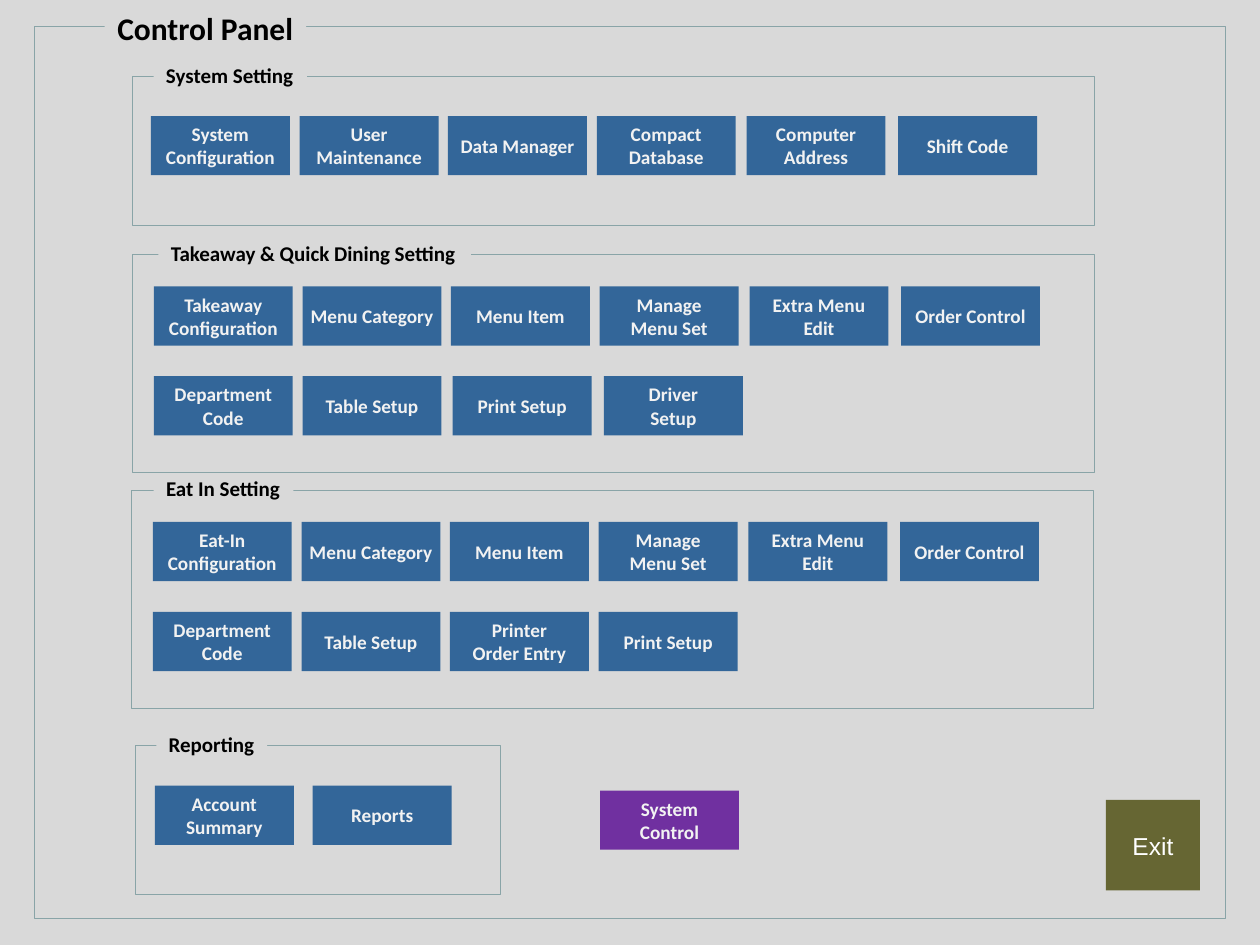
"""Build a restaurant control panel slide with grouped setting buttons."""
import pptx
import pptx.dml.color
import pptx.enum.shapes
import pptx.enum.text
import pptx.util

Pt = pptx.util.Pt
ALIGN = pptx.enum.text.PP_ALIGN
ANCHOR = pptx.enum.text.MSO_ANCHOR
FIT = pptx.enum.text.MSO_AUTO_SIZE

THEME = {
    "panel": "D9D9D9", "frame": "89A4A7", "button": "336699", "control": "7030A0",
    "exit": "666633", "heading": "000000", "label": "F2F2F2", "exit_label": "FFFFFF",
    "font": "Calibri", "exit_font": "Arial",
    "title_size": 18, "heading_size": 12, "label_size": 11, "exit_size": 14, "line": 0.5,
}
BUTTON_SIZE = (79.4, 33.8)
HEADING_HEIGHT = 21.8
COLUMNS = (0, 85, 169.8, 254.8, 340.4, 427)
WIDE_COLUMNS = (0, 85, 170.8, 257.2)
REPORT_COLUMNS = (0, 90.2)

TITLE = ("Control Panel", (59.8, 1.4, 115.2, 29.1))
OUTER_FRAME = (19.6, 15, 680.6, 510)

GROUPS = [
    {"heading": "System Setting", "heading_at": (87.8, 32.3, 87.6),
     "frame": (75.6, 43.7, 549.6, 85),
     "rows": [(86.2, 66.4, COLUMNS, ["System\nConfiguration", "User\nMaintenance",
                                     "Data Manager", "Compact\nDatabase",
                                     "Computer\nAddress", "Shift Code"])]},
    {"heading": "Takeaway & Quick Dining Setting", "heading_at": (90.5, 134, 178.6),
     "frame": (75.6, 145.3, 549.6, 124.6),
     "rows": [(87.9, 163.7, COLUMNS, ["Takeaway\nConfiguration", "Menu Category", "Menu Item",
                                      "Manage\nMenu Set", "Extra Menu\nEdit",
                                      "Order Control"]),
              (87.9, 215, WIDE_COLUMNS, ["Department\nCode", "Table Setup", "Print Setup",
                                         "Driver\nSetup"])]},
    {"heading": "Eat In Setting", "heading_at": (87.8, 268.2, 79.9),
     "frame": (75.2, 280.1, 549.6, 124.6),
     "rows": [(87.3, 298.3, COLUMNS, ["Eat-In\nConfiguration", "Menu Category", "Menu Item",
                                      "Manage\nMenu Set", "Extra Menu\nEdit",
                                      "Order Control"]),
              (87.3, 349.7, COLUMNS, ["Department\nCode", "Table Setup",
                                      "Printer\nOrder Entry", "Print Setup"])]},
    {"heading": "Reporting", "heading_at": (89.3, 414.3, 63.4),
     "frame": (77.3, 425.9, 208.8, 85),
     "rows": [(88.5, 449, REPORT_COLUMNS, ["Account\nSummary", "Reports"])]},
]
SYSTEM_CONTROL = ("System\nControl", (342.9, 451.8))
EXIT = ("Exit", (632, 457.1, 53.7, 51.8))


def color(name):
    return pptx.dml.color.RGBColor.from_string(THEME[name])


def paint(shape, name):
    shape.fill.solid()
    shape.fill.fore_color.rgb = color(name)


def write(shape, text, size, ink, align, anchor, font="font", bold=True):
    frame = shape.text_frame
    frame.text = text
    frame.word_wrap = False
    frame.vertical_anchor = anchor
    for para in frame.paragraphs:
        para.alignment = align
        para.font.name = THEME[font]
        para.font.size = Pt(THEME[size])
        para.font.bold = bold
        para.font.color.rgb = color(ink)


def add_box(page, bounds, fill=None):
    box = page.shapes.add_shape(pptx.enum.shapes.MSO_SHAPE.RECTANGLE, *map(Pt, bounds))
    box.shadow.inherit = False
    if fill:
        paint(box, fill)
        box.line.fill.background()
    else:
        box.fill.background()
        box.line.color.rgb = color("frame")
        box.line.width = Pt(THEME["line"])
    return box


def add_button(page, text, left, top, fill="button"):
    button = add_box(page, (left, top, *BUTTON_SIZE), fill)
    write(button, text, "label_size", "label", ALIGN.CENTER, ANCHOR.MIDDLE)


def write_heading(shape, text, size, fit):
    write(shape, text, size, "heading", ALIGN.LEFT, ANCHOR.TOP)
    shape.text_frame.auto_size = fit


def add_group(page, group):
    add_box(page, group["frame"])
    heading = add_box(page, (*group["heading_at"], HEADING_HEIGHT), "panel")
    write_heading(heading, group["heading"], "heading_size", FIT.SHAPE_TO_FIT_TEXT)
    for left, top, columns, labels in group["rows"]:
        for offset, label in zip(columns, labels):
            add_button(page, label, left + offset, top)


def place_title(page):
    text, bounds = TITLE
    title = page.shapes.title
    title.left, title.top, title.width, title.height = map(Pt, bounds)
    paint(title, "panel")
    write_heading(title, text, "title_size", FIT.NONE)
    title.element.getparent().append(title.element)


def main():
    deck = pptx.Presentation()
    deck.slide_width, deck.slide_height = Pt(720), Pt(540)
    page = deck.slides.add_slide(deck.slide_layouts.get_by_name("Title Only"))
    paint(page.background, "panel")
    add_box(page, OUTER_FRAME)
    place_title(page)
    for group in reversed(GROUPS):
        add_group(page, group)
    text, corner = SYSTEM_CONTROL
    add_button(page, text, *corner, fill="control")
    text, bounds = EXIT
    write(add_box(page, bounds, "exit"), text, "exit_size", "exit_label",
          ALIGN.CENTER, ANCHOR.MIDDLE, font="exit_font", bold=False)
    deck.save("out.pptx")


if __name__ == "__main__":
    main()
